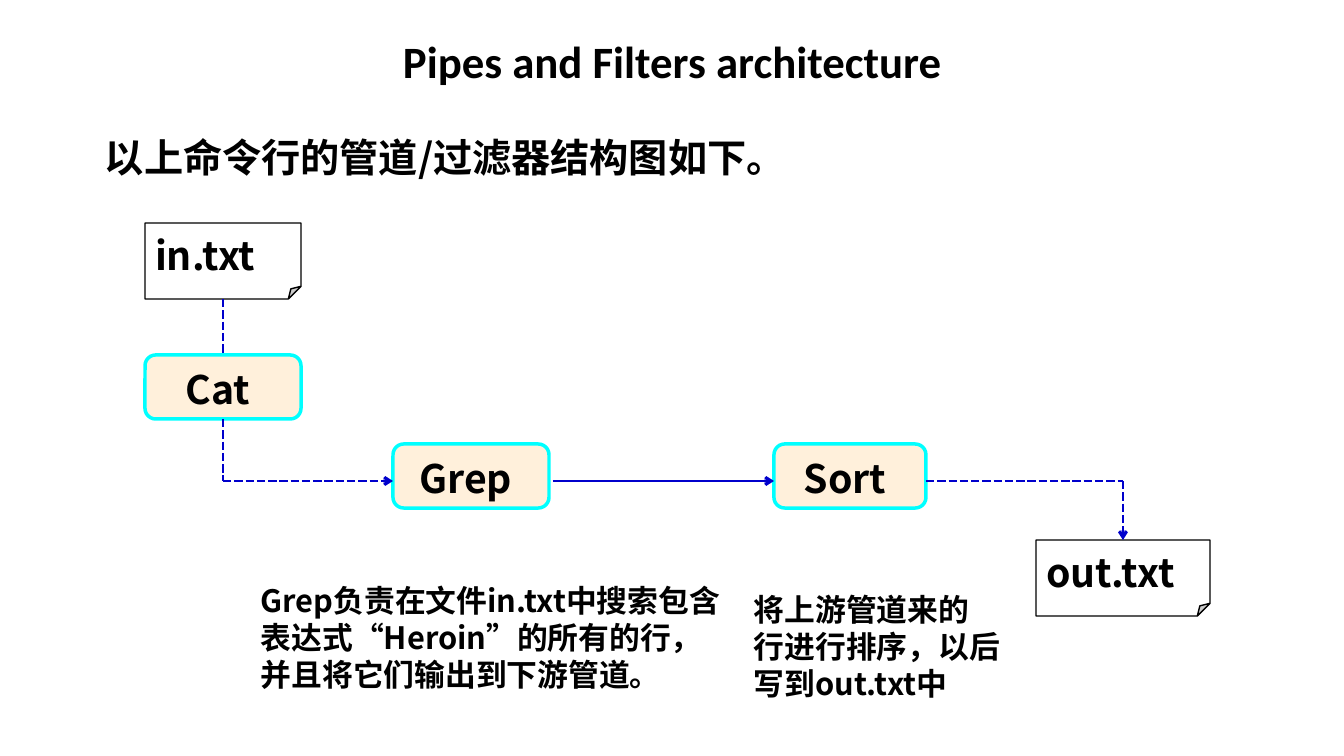
from lxml import etree
from pptx import Presentation, util as u
from pptx.dml.color import RGBColor
from pptx.enum import dml, shapes, text
from pptx.oxml.ns import qn

PX = 914400 / 100.8
BLACK = RGBColor(0x00, 0x00, 0x00)
WHITE = RGBColor(0xFF, 0xFF, 0xFF)
ORANGE = RGBColor(0xFF, 0x99, 0x00)
CYAN = RGBColor(0x00, 0xFF, 0xFF)
BLUE = RGBColor(0x00, 0x00, 0xCC)
CJK = "Noto Sans CJK SC"
FLOW_Y = 481


def px(*lengths):
    return [u.Emu(round(length * PX)) for length in lengths]


def set_font(para, size, name=CJK):
    font = para.font
    font.size, font.bold, font.name = u.Pt(size), True, name
    font.color.rgb = BLACK
    properties = para._p.pPr.find(qn("a:defRPr"))
    etree.SubElement(properties, qn("a:ea"), typeface=name)


def set_insets(frame, x, y):
    frame.margin_left = frame.margin_right = px(x)[0]
    frame.margin_top = frame.margin_bottom = px(y)[0]


def add_title(slide, words):
    title = slide.shapes.title
    title.left, title.top, title.width, title.height = px(219, 29, 907, 55)
    frame = title.text_frame
    frame.text = words
    frame.auto_size = text.MSO_AUTO_SIZE.NONE
    frame.vertical_anchor = text.MSO_ANCHOR.TOP
    para = frame.paragraphs[0]
    para.alignment = text.PP_ALIGN.CENTER
    set_font(para, 32, "Calibri")


def add_text(slide, place, lines, size, spacing=1.0):
    frame = slide.shapes.add_textbox(*px(*place)).text_frame
    frame.word_wrap = True
    frame.text = "\n".join(lines)
    for para in frame.paragraphs:
        para.line_spacing = spacing
        set_font(para, size)


def add_box(slide, kind, place, fill, line, width):
    box = slide.shapes.add_shape(kind, *px(*place))
    box.shadow.inherit = False
    box.fill.solid()
    box.fill.fore_color.rgb = fill
    box.line.color.rgb = line
    box.line.width = u.Pt(width)
    box.text_frame.paragraphs[0].alignment = text.PP_ALIGN.CENTER
    return box


def add_filter(slide, place, name):
    """Add a rounded process box with a pale, see-through fill."""
    box = add_box(slide, shapes.MSO_SHAPE.ROUNDED_RECTANGLE, place, ORANGE, CYAN, 2.5)
    colour = box._element.spPr.find(qn("a:solidFill"))[0]
    etree.SubElement(colour, qn("a:alpha"), val="14000")
    frame = box.text_frame
    frame.word_wrap = False
    frame.vertical_anchor = text.MSO_ANCHOR.MIDDLE
    set_insets(frame, 0, 0)
    para = frame.paragraphs[0]
    para.add_run().text = name
    space = para.add_run()
    space.text = " "
    space.font.size = u.Pt(32)
    set_font(para, 28)
    return box


def add_file(slide, place, name):
    box = add_box(slide, shapes.MSO_SHAPE.FOLDED_CORNER, place, WHITE, BLACK, 1)
    frame = box.text_frame
    frame.vertical_anchor = text.MSO_ANCHOR.TOP
    set_insets(frame, 10, 8)
    frame.text = name
    set_font(frame.paragraphs[0], 28)
    return box


def add_pipe(slide, start, end, dashed=True, arrow=False):
    pipe = slide.shapes.add_connector(shapes.MSO_CONNECTOR.STRAIGHT, *px(*start, *end))
    pipe.line.color.rgb = BLUE
    pipe.line.width = u.Pt(2)
    if dashed:
        pipe.line.dash_style = dml.MSO_LINE.SQUARE_DOT
    if arrow:
        line = pipe._element.spPr.find(qn("a:ln"))
        etree.SubElement(line, qn("a:tailEnd"), type="arrow")
    etree.SubElement(pipe._element.spPr, qn("a:effectLst"))
    return pipe


def main():
    deck = Presentation()
    deck.slide_width, deck.slide_height = px(1344, 756)
    slide = deck.slides.add_slide(deck.slide_layouts[5])

    add_title(slide, "Pipes and Filters architecture")
    add_text(slide, (95, 134, 724, 72), ["以上命令行的管道/过滤器结构图如下。"], 28, 0.9)

    source = add_file(slide, (145, 223, 156, 76), "in.txt")
    cat = add_filter(slide, (145, 355, 156, 64), "Cat")
    add_filter(slide, (393, 444, 156, 64), "Grep")
    add_filter(slide, (774, 444, 152, 64), "Sort")
    target = add_file(slide, (1036, 540, 174, 76), "out.txt")

    source_to_cat = add_pipe(slide, (223, 299), (223, 355))
    source_to_cat.begin_connect(source, 2)
    source_to_cat.end_connect(cat, 0)
    add_pipe(slide, (223, 419), (223, FLOW_Y)).begin_connect(cat, 2)
    add_pipe(slide, (223, FLOW_Y), (393, FLOW_Y), arrow=True)
    add_pipe(slide, (553, FLOW_Y), (774, FLOW_Y), dashed=False, arrow=True)
    add_pipe(slide, (926, FLOW_Y), (1123, FLOW_Y))
    add_pipe(slide, (1123, FLOW_Y), (1123, 540), arrow=True).end_connect(target, 0)

    add_text(slide, (251, 577, 490, 122), [
        "Grep负责在文件in.txt中搜索包含",
        "表达式“Heroin”的所有的行，",
        "并且将它们输出到下游管道。",
    ], 22)
    add_text(slide, (744, 586, 269, 122), [
        "将上游管道来的",
        "行进行排序，以后",
        "写到out.txt中",
    ], 22)
    deck.save("out.pptx")


if __name__ == "__main__":
    main()
